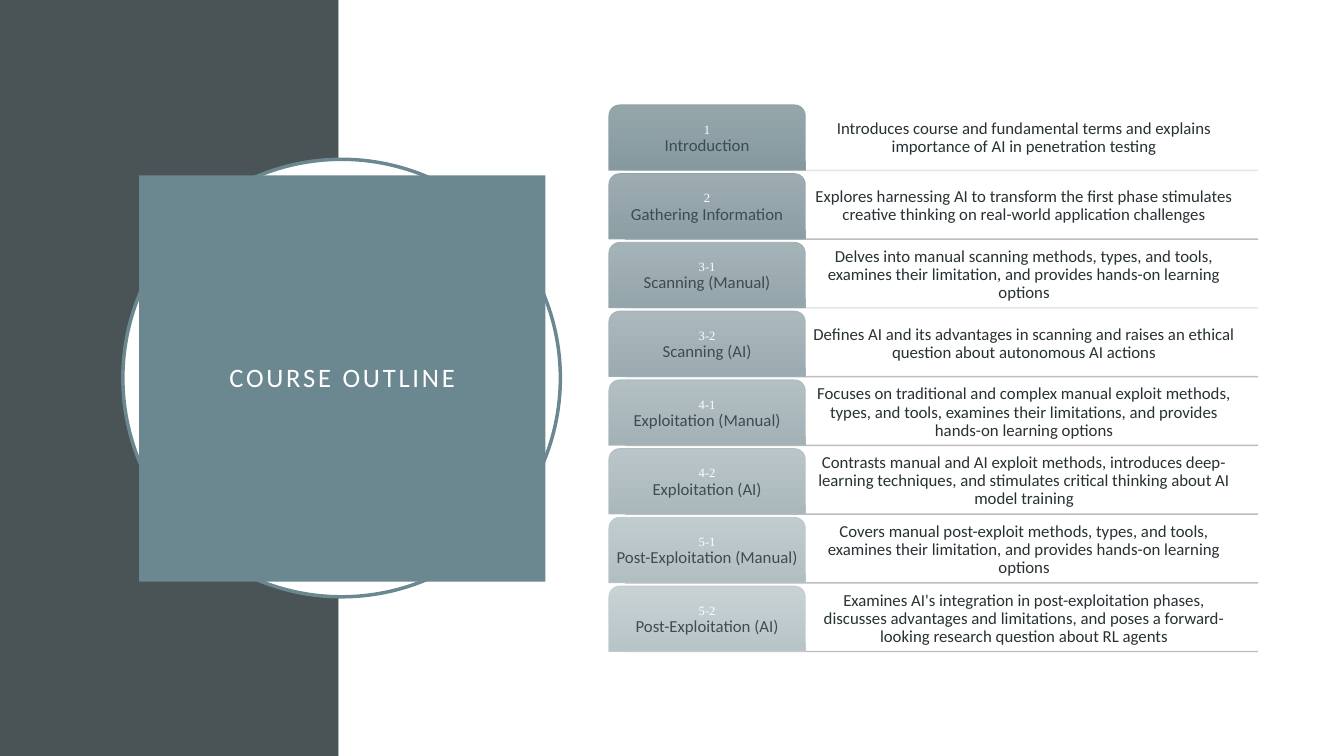
"""Builds the course outline slide: a title block beside eight labelled topic rows."""
from copy import deepcopy

from lxml import etree
from pptx import Presentation
from pptx.dml.color import RGBColor
from pptx.enum import shapes, text
from pptx.oxml.ns import qn
from pptx.util import Pt

TITLE = "COURSE OUTLINE"
TOPICS = [
    ("1", "Introduction",
     "Introduces course and fundamental terms and explains importance of AI in penetration testing"),
    ("2", "Gathering Information",
     "Explores harnessing AI to transform the first phase stimulates creative thinking on "
     "real-world application challenges"),
    ("3-1", "Scanning (Manual)",
     "Delves into manual scanning methods, types, and tools, examines their limitation, "
     "and provides hands-on learning options"),
    ("3-2", "Scanning (AI)",
     "Defines AI and its advantages in scanning and raises an ethical question about "
     "autonomous AI actions"),
    ("4-1", "Exploitation (Manual)",
     "Focuses on traditional and complex manual exploit methods, types, and tools, examines "
     "their limitations, and provides hands-on learning options"),
    ("4-2", "Exploitation (AI)",
     "Contrasts manual and AI exploit methods, introduces deep-learning techniques, and "
     "stimulates critical thinking about AI model training"),
    ("5-1", "Post-Exploitation (Manual)",
     "Covers manual post-exploit methods, types, and tools, examines their limitation, "
     "and provides hands-on learning options"),
    ("5-2", "Post-Exploitation (AI)",
     "Examines AI's integration in post-exploitation phases, discusses advantages and "
     "limitations, and poses a forward-looking research question about RL agents"),
]
COLORS = {"panel": "4A5356", "white": "FFFFFF", "teal": "6B8891", "rule": "000000",
          "soft_rule": "8D9FA4", "label": "3D4C51", "body": "283134"}
TAB_RAMPS = {"top": ("95A6AB", "C8D2D5"), "bottom": ("86999F", "B8C4C8"),
             "line": ("8D9FA4", "C1CCCF")}
SOFT_RULE_ROWS = (0, 2)
BODY_FONT, NUMBER_FONT = "Calibri", "Times New Roman"
SLIDE_W, SLIDE_H = 960, 540
PANEL_W = 241.9
CIRCLE = (87.8, 113.8, 312.5, 312.5)
TITLE_BOX = (99.4, 125.3, 290.2, 290.2)
TAB_X, TAB_W, ROW_H = 434.9, 140.4, 46.8
ROW_TOP, ROW_PITCH = 74.9, 49.1
BODY_X, BODY_W = 577.4, 308.2
RULE_X1, RULE_X2 = 446.4, 898.6


def rgb(value):
    """Return a colour object for a hex string."""
    return RGBColor.from_string(value)


def blend(ramp, share):
    """Return the hex colour a given share of the way along a ramp."""
    start, end = (bytes.fromhex(c) for c in ramp)
    return "".join(f"{round(a + (b - a) * share):02X}" for a, b in zip(start, end))


def add_block(slide, kind, box, fill, line=None, width=0):
    """Add a flat preset shape, outlined only when a line colour is given."""
    sp = slide.shapes.add_shape(kind, *map(Pt, box))
    sp.shadow.inherit = False
    sp.fill.solid()
    sp.fill.fore_color.rgb = rgb(fill)
    if line:
        sp.line.color.rgb = rgb(line)
        sp.line.width = Pt(width)
    else:
        sp.line.fill.background()
    return sp


def write(sp, words, inset, styles):
    """Write centred text, with one (font, size, colour) style for each run."""
    tf = sp.text_frame
    tf.word_wrap = True
    tf.vertical_anchor = text.MSO_ANCHOR.MIDDLE
    tf.margin_left = tf.margin_right = tf.margin_top = tf.margin_bottom = Pt(inset)
    p = tf.paragraphs[0]
    p.text = words
    p.alignment = text.PP_ALIGN.CENTER
    p.line_spacing = 0.9
    for r, (font, size, color) in zip(p.runs, styles):
        r.font.name = font
        r.font.size = Pt(size)
        r.font.color.rgb = rgb(color)
    for br in p._p.findall(qn("a:br")):
        br.insert(0, deepcopy(p.runs[0]._r.get_or_add_rPr()))
    return p


def add_rule(slide, y, color):
    """Add a horizontal rule at 25% opacity."""
    line = slide.shapes.add_connector(
        shapes.MSO_CONNECTOR.STRAIGHT, Pt(RULE_X1), Pt(y), Pt(RULE_X2), Pt(y))
    line.line.color.rgb = rgb(color)
    line.line.width = Pt(1)
    sp_pr = line._element.spPr
    etree.SubElement(next(sp_pr.iter(qn("a:srgbClr"))), qn("a:alpha"), val="25000")
    etree.SubElement(sp_pr, qn("a:effectLst"))


def add_topic(slide, row, number, name, summary):
    """Add a gradient tab and its summary."""
    y = ROW_TOP + row * ROW_PITCH
    shade = {part: blend(ramp, row / (len(TOPICS) - 1)) for part, ramp in TAB_RAMPS.items()}
    body = slide.shapes.add_textbox(Pt(BODY_X), Pt(y), Pt(BODY_W), Pt(ROW_H))
    write(body, summary, 2.2, [(BODY_FONT, 12, COLORS["body"])])
    tab = add_block(slide, shapes.MSO_SHAPE.ROUND_2_SAME_RECTANGLE,
                    (TAB_X, y, TAB_W, ROW_H), shade["top"], shade["line"], 0.5)
    tab.fill.gradient()
    tab.fill.gradient_angle = 270
    for stop, part in zip(tab.fill.gradient_stops, ("top", "bottom")):
        stop.color.rgb = rgb(shade[part])
    write(tab, f"{number}\v{name}", 1.4,
          [(NUMBER_FONT, 9, COLORS["white"]), (BODY_FONT, 12, COLORS["label"])])


def main():
    """Build and save the slide."""
    prs = Presentation()
    prs.slide_width, prs.slide_height = Pt(SLIDE_W), Pt(SLIDE_H)
    slide = prs.slides.add_slide(prs.slide_layouts[6])
    rect = shapes.MSO_SHAPE.RECTANGLE
    add_block(slide, rect, (0, 0, PANEL_W, SLIDE_H), COLORS["panel"])
    add_block(slide, rect, (PANEL_W, 0, SLIDE_W - PANEL_W, SLIDE_H), COLORS["white"])
    add_block(slide, shapes.MSO_SHAPE.OVAL, CIRCLE, COLORS["white"], COLORS["teal"], 2.5)
    title = add_block(slide, rect, TITLE_BOX, COLORS["teal"])
    p = write(title, TITLE, 14.4, [(BODY_FONT, 19, COLORS["white"])])
    p.runs[0]._r.get_or_add_rPr().set("spc", "200")
    for row in range(len(TOPICS)):
        color = COLORS["soft_rule" if row in SOFT_RULE_ROWS else "rule"]
        add_rule(slide, ROW_TOP + row * ROW_PITCH + ROW_H, color)
    for row, topic in enumerate(TOPICS):
        add_topic(slide, row, *topic)
    prs.save("out.pptx")


if __name__ == "__main__":
    main()
